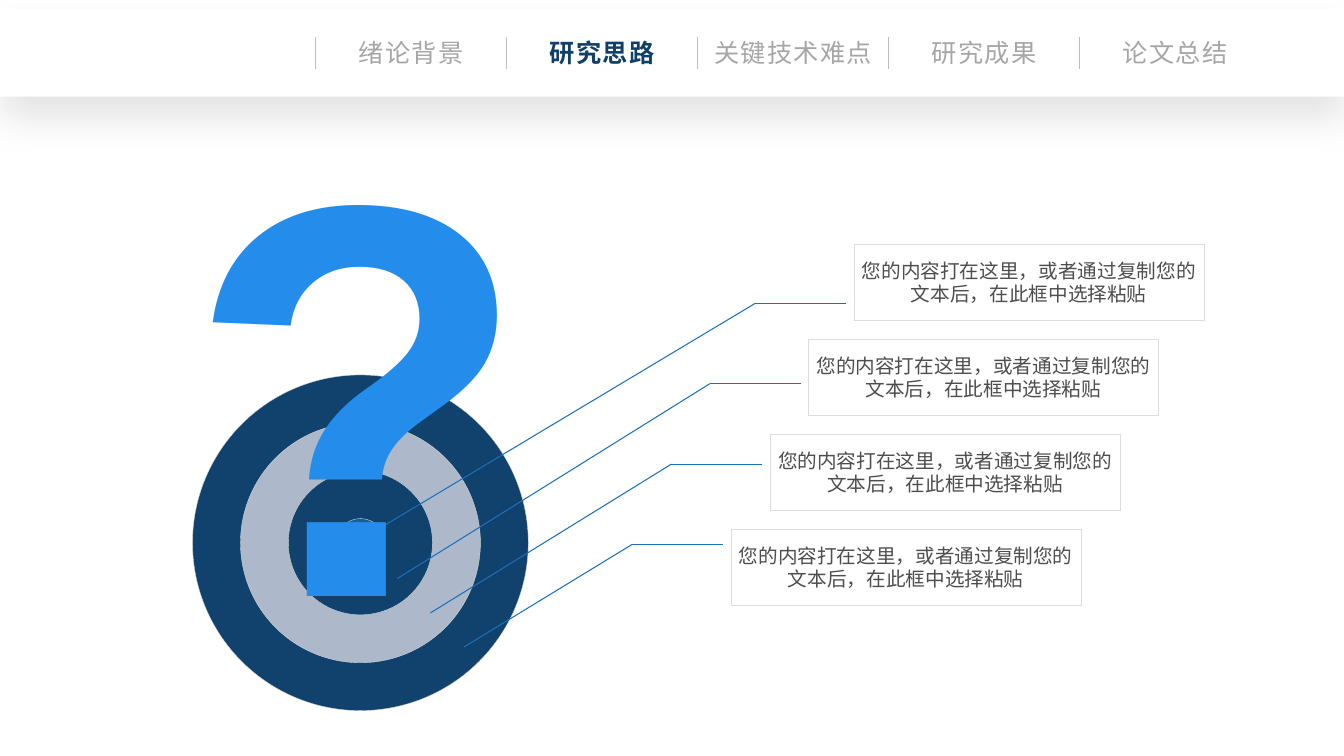
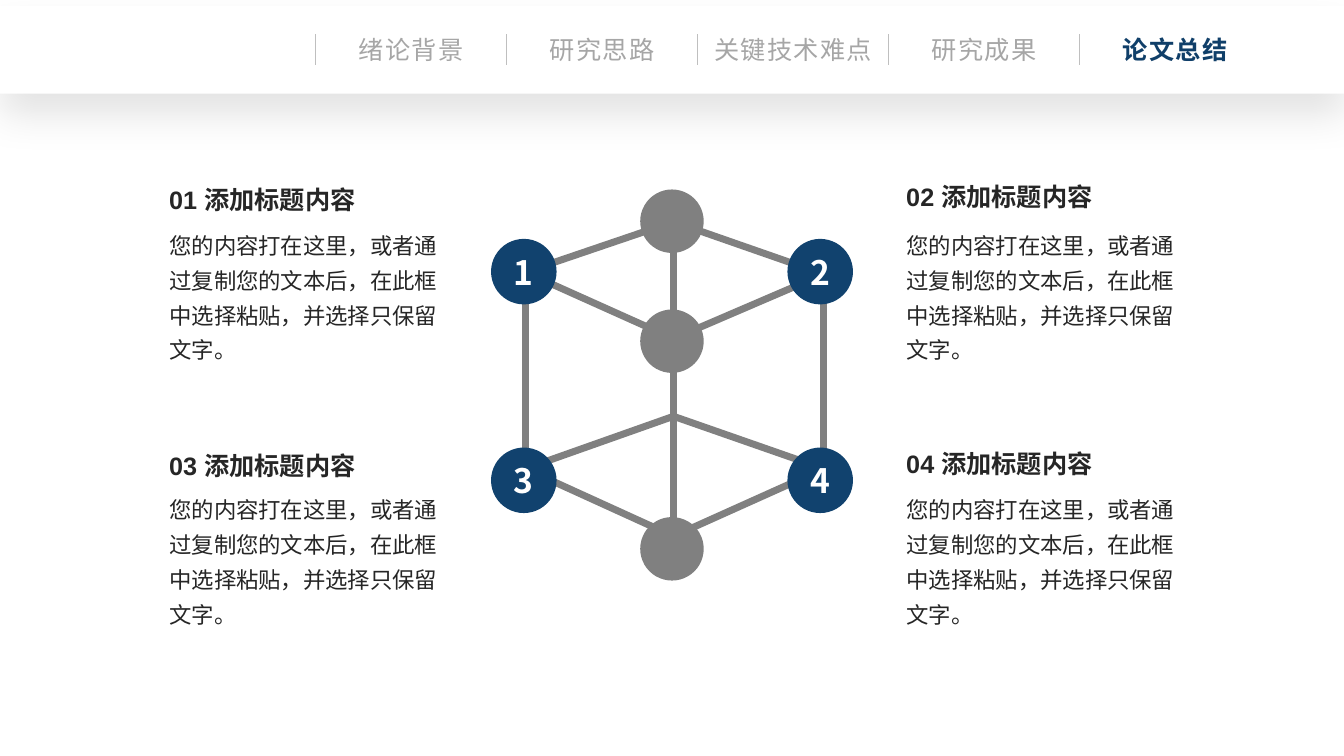
"""Build the two thesis slides: research approach and conclusions."""
from dataclasses import dataclass
from typing import NamedTuple

from lxml import etree
from pptx import Presentation
from pptx import util as u
from pptx.dml.color import RGBColor
from pptx.enum import shapes, text
from pptx.oxml.ns import qn


@dataclass(frozen=True)
class Theme:
    """Colours, fonts and type sizes shared by the slides."""
    navy: str = "11426E"
    active: str = "103F69"
    bright: str = "248DEB"
    core: str = "185E9D"
    leader: str = "1C6FB9"
    mist: str = "ADB9CA"
    grey: str = "808080"
    muted: str = "A6A6A6"
    divider: str = "BFBFBF"
    ring_edge: str = "D7D7D7"
    card_edge: str = "DDDDDD"
    card_ink: str = "4D4D4D"
    ink: str = "262626"
    white: str = "FFFFFF"
    cjk: str = "Noto Sans CJK SC"
    latin: str = "Arial"
    card_size: float = 14
    body_size: float = 16
    heading_size: float = 18
    node_size: float = 24
    mark_size: float = 400


class Point(NamedTuple):
    """A position in inches."""
    x: float
    y: float


class Box(NamedTuple):
    """A frame in inches."""
    left: float
    top: float
    width: float
    height: float


class Callout(NamedTuple):
    """A leader line's tip on the target and its bend."""
    tip: Point
    bend_x: float


class Node(NamedTuple):
    """A disc of the network."""
    center: Point
    diameter: float
    fill: str
    label: str = ""


class Topic(NamedTuple):
    """A numbered heading above its description."""
    heading: str
    left: float
    heading_top: float
    body_top: float


THEME = Theme()
WIDTH, HEIGHT = 13.33, 7.5
TITLE_ONLY, COMPARISON = 5, 4

SECTIONS = ("绪论背景", "研究思路", "关键技术难点", "研究成果", "论文总结")
NAV_LEFT, NAV_STEP, BAND_HEIGHT = 3.13, 1.895, 0.87

CARD_TEXT = "您的内容打在这里，或者通过复制您的文本后，在此框中选择粘贴"
TOPIC_TEXT = CARD_TEXT + "，并选择只保留文字。"

TARGET = Point(3.575, 5.385)
RINGS = ((3.33, THEME.navy), (2.38, THEME.mist), (1.43, THEME.navy), (0.48, THEME.core))
CALLOUTS = (
    Callout(Point(3.55, 5.37), 7.49),
    Callout(Point(3.94, 5.74), 7.04),
    Callout(Point(4.27, 6.08), 6.66),
    Callout(Point(4.6, 6.42), 6.27),
)

JOINTS = {
    "top": Point(6.68, 2.2), "middle": Point(6.68, 3.36),
    "hub": Point(6.68, 4.13), "bottom": Point(6.68, 5.32),
    "upper left": Point(5.21, 2.7), "upper right": Point(8.17, 2.72),
    "lower left": Point(5.21, 4.65), "lower right": Point(8.17, 4.65),
}
LINKS = [(f"{level} {side}", end)
         for side in ("left", "right")
         for level, end in (("upper", "top"), ("upper", "middle"),
                            ("lower", "hub"), ("lower", "bottom"))]
LINKS += [("upper left", "lower left"), ("upper right", "lower right"), ("top", "bottom")]

NODES = [Node(Point(6.665, y), 0.63, THEME.grey) for y in (2.195, 3.385, 5.445)]
NODES += [Node(Point((5.195, 8.135)[i % 2], (2.695, 4.765)[i // 2]), 0.65,
               THEME.navy, str(i + 1)) for i in range(4)]

TOPICS = (
    Topic("01 添加标题内容", 1.58, 1.78, 2.17),
    Topic("02 添加标题内容", 8.89, 1.75, 2.17),
    Topic("03 添加标题内容", 1.58, 4.42, 4.79),
    Topic("04 添加标题内容", 8.89, 4.4, 4.79),
)


def rgb(color: str) -> RGBColor:
    """Turn a hex string into a colour."""
    return RGBColor.from_string(color)


def place(shape, box: Box) -> None:
    """Move and size a shape."""
    shape.left, shape.top, shape.width, shape.height = map(u.Inches, box)


def write(shape, words: str, *, size: float, color: str, font: str = THEME.cjk,
          bold: bool = False, align=text.PP_ALIGN.LEFT, anchor=text.MSO_ANCHOR.TOP,
          wrap: bool = True, inset: float | None = None, spacing: float = 0,
          leading: float = 1.0) -> None:
    """Put one formatted paragraph into a shape."""
    frame = shape.text_frame
    frame.word_wrap = wrap
    frame.auto_size = text.MSO_AUTO_SIZE.NONE
    frame.vertical_anchor = anchor
    if inset is not None:
        frame.margin_left = frame.margin_right = u.Inches(inset)
        frame.margin_top = frame.margin_bottom = u.Inches(inset)
    paragraph = frame.paragraphs[0]
    paragraph.alignment = align
    paragraph.line_spacing = leading
    paragraph.space_before = u.Pt(0)
    properties = paragraph._p.get_or_add_pPr()
    properties.set("marL", "0")
    properties.set("indent", "0")
    etree.SubElement(properties, qn("a:buNone"))
    run = paragraph.add_run()
    run.text = words
    run.font.size = u.Pt(size)
    run.font.bold = bold
    run.font.name = font
    run.font.color.rgb = rgb(color)
    run_properties = run._r.get_or_add_rPr()
    run_properties.set("spc", str(int(spacing * 100)))
    etree.SubElement(run_properties, qn("a:ea"), typeface=THEME.cjk)


def add_text(slide, box: Box, words: str, **style) -> None:
    """Add a text box."""
    write(slide.shapes.add_textbox(*map(u.Inches, box)), words, **style)


def add_figure(slide, kind, box: Box, fill: str, edge: str | None = None):
    """Add a filled preset shape with an optional hairline edge."""
    figure = slide.shapes.add_shape(kind, *map(u.Inches, box))
    figure.shadow.inherit = False
    figure.fill.solid()
    figure.fill.fore_color.rgb = rgb(fill)
    if edge:
        figure.line.color.rgb = rgb(edge)
        figure.line.width = u.Pt(0.25)
    else:
        figure.line.fill.background()
    return figure


def add_disc(slide, center: Point, diameter: float, fill: str, edge: str | None = None):
    """Add a circle around a centre."""
    box = Box(center.x - diameter / 2, center.y - diameter / 2, diameter, diameter)
    return add_figure(slide, shapes.MSO_SHAPE.OVAL, box, fill, edge)


def add_line(slide, start: Point, end: Point, color: str, width: float) -> None:
    """Add a straight line without a shadow."""
    line = slide.shapes.add_connector(
        shapes.MSO_CONNECTOR.STRAIGHT, *map(u.Inches, (*start, *end)))
    line.line.color.rgb = rgb(color)
    line.line.width = u.Pt(width)
    etree.SubElement(line._element.spPr, qn("a:effectLst"))


def cast_shadow(shape) -> None:
    """Give a shape a soft shadow below it."""
    effects = shape._element.spPr.find(qn("a:effectLst"))
    shadow = etree.SubElement(effects, qn("a:outerShdw"), blurRad=str(u.Pt(28)),
                              dist=str(u.Pt(15)), dir="5400000", algn="t", rotWithShape="0")
    shade = etree.SubElement(shadow, qn("a:srgbClr"), val="000000")
    etree.SubElement(shade, qn("a:alpha"), val="11000")


def add_navigation(slide, current: str, top: float) -> None:
    """Draw the section band, with the current section as the slide title."""
    band = add_figure(slide, shapes.MSO_SHAPE.RECTANGLE,
                      Box(0, top, WIDTH, BAND_HEIGHT), THEME.white)
    cast_shadow(band)
    style = dict(size=THEME.heading_size, align=text.PP_ALIGN.CENTER, wrap=False, spacing=1)
    for column, section in enumerate(SECTIONS):
        left = NAV_LEFT + column * NAV_STEP
        add_line(slide, Point(left, top + 0.28), Point(left, top + 0.59), THEME.divider, 0.5)
        box = Box(left, top + 0.23, NAV_STEP, 0.4)
        if section == current:
            title = slide.shapes.title
            slide.shapes._spTree.append(title._element)
            place(title, box)
            write(title, section, color=THEME.active, bold=True, **style)
        else:
            add_text(slide, box, section, color=THEME.muted, **style)


def build_approach(deck) -> None:
    """Build the target with its four callouts."""
    slide = deck.slides.add_slide(deck.slide_layouts[TITLE_ONLY])
    for diameter, fill in RINGS:
        add_disc(slide, TARGET, diameter, fill, THEME.ring_edge)
    for row, callout in enumerate(CALLOUTS):
        bend = Point(callout.bend_x, 3.01 + row * 0.797)
        add_line(slide, bend, Point(bend.x + 0.9, bend.y), THEME.leader, 0.75)
        add_line(slide, bend, callout.tip, THEME.leader, 0.75)
        card = add_figure(slide, shapes.MSO_SHAPE.RECTANGLE,
                          Box(bend.x + 0.98, 2.42 + row * 0.943, 3.47, 0.76),
                          THEME.white, THEME.card_edge)
        write(card, CARD_TEXT, size=THEME.card_size, color=THEME.card_ink, inset=0,
              align=text.PP_ALIGN.CENTER, anchor=text.MSO_ANCHOR.MIDDLE)
    add_navigation(slide, "研究思路", 0.09)
    add_text(slide, Box(1.76, 0.28, 3.63, 6.83), "?", size=THEME.mark_size,
             color=THEME.bright, font=THEME.latin, bold=True, wrap=False,
             anchor=text.MSO_ANCHOR.MIDDLE)


def build_conclusions(deck) -> None:
    """Build the network between four numbered topics."""
    slide = deck.slides.add_slide(deck.slide_layouts[COMPARISON])
    descriptions = [holder for holder in slide.placeholders
                    if holder.placeholder_format.idx > 0]
    for start, end in LINKS:
        add_line(slide, JOINTS[start], JOINTS[end], THEME.grey, 5)
    for node in NODES:
        disc = add_disc(slide, node.center, node.diameter, node.fill)
        if node.label:
            write(disc, node.label, size=THEME.node_size, color=THEME.white, bold=True,
                  align=text.PP_ALIGN.CENTER, anchor=text.MSO_ANCHOR.MIDDLE)
    for topic, description in zip(TOPICS, descriptions):
        add_text(slide, Box(topic.left, topic.heading_top, 2.93, 0.42), topic.heading,
                 size=THEME.heading_size, color=THEME.ink, font=THEME.latin, bold=True)
        place(description, Box(topic.left, topic.body_top, 2.93, 1.54))
        write(description, TOPIC_TEXT, size=THEME.body_size, color=THEME.ink, leading=1.3)
    add_navigation(slide, "论文总结", 0.06)


def main() -> None:
    """Build and save the deck."""
    deck = Presentation()
    deck.slide_width, deck.slide_height = u.Inches(WIDTH), u.Inches(HEIGHT)
    build_approach(deck)
    build_conclusions(deck)
    deck.save("out.pptx")


if __name__ == "__main__":
    main()
